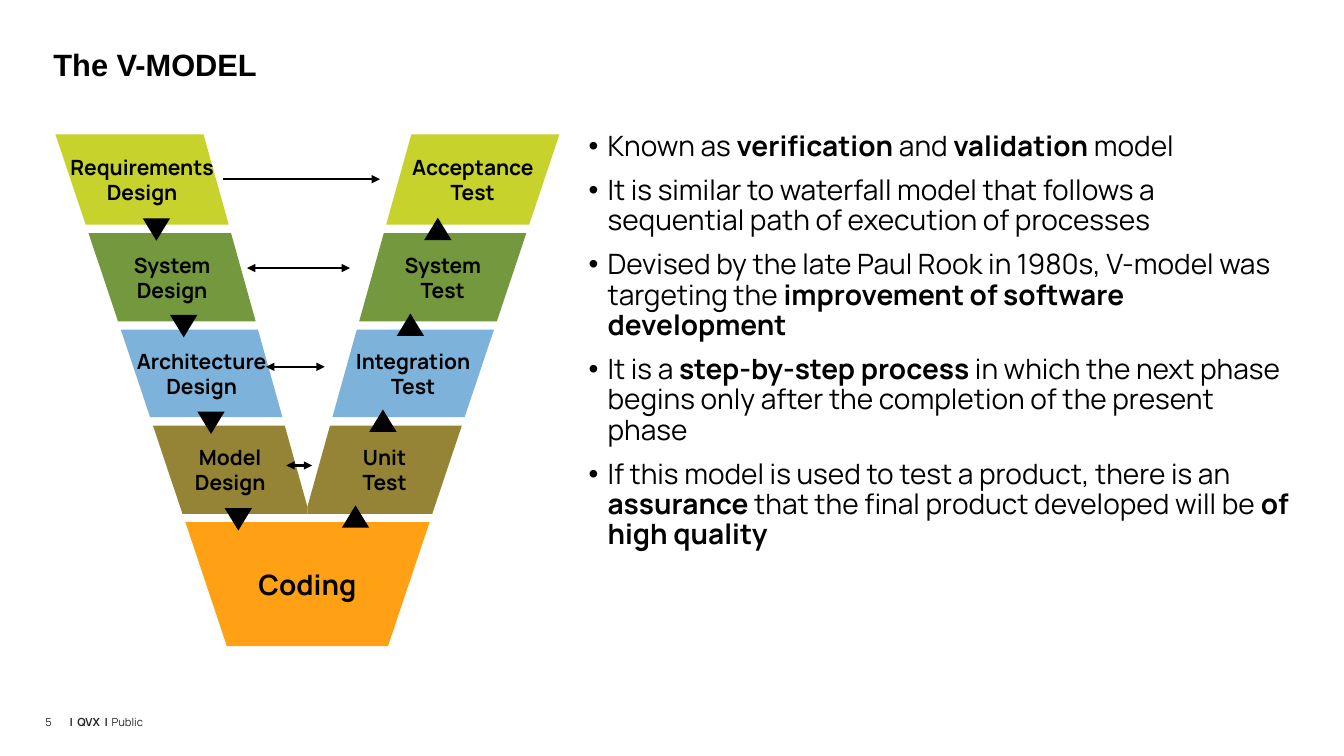
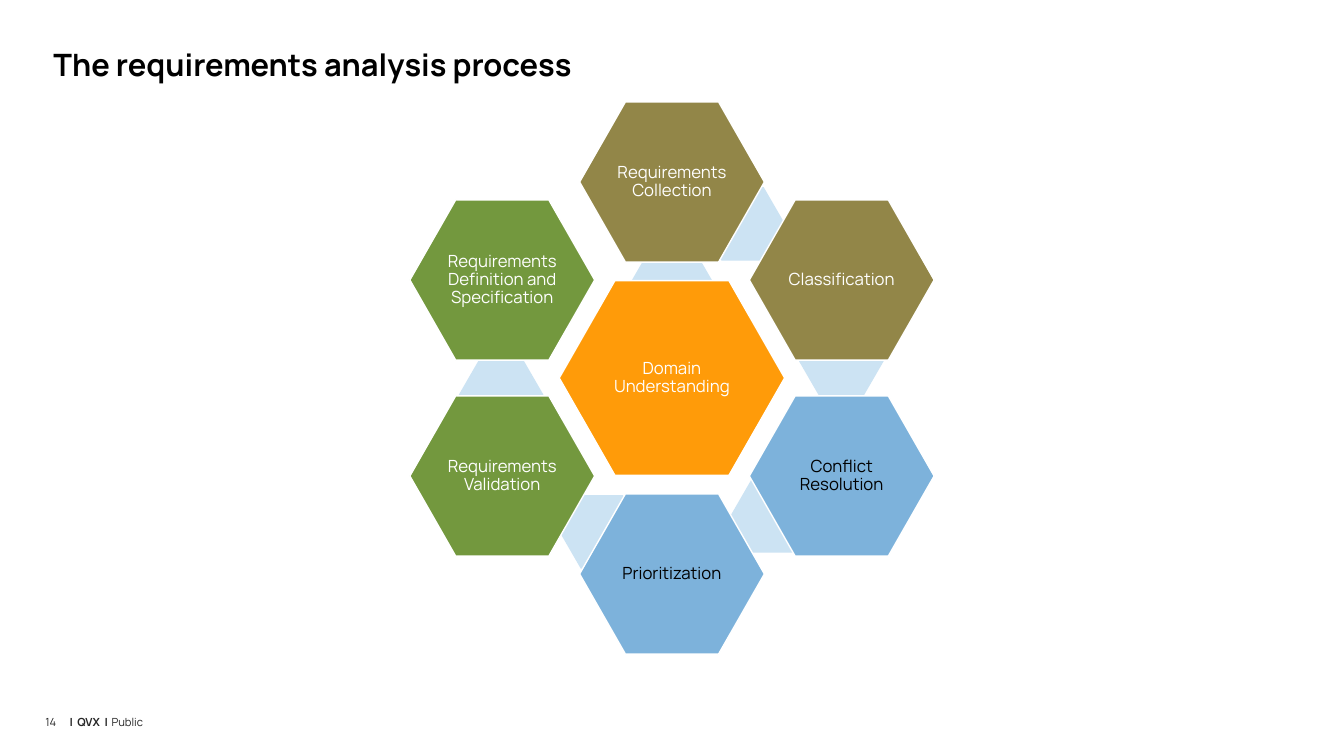
"""Build two slides: the V-model and the requirements analysis process."""
import math

import lxml.etree
import pptx
import pptx.dml.color
import pptx.enum.shapes
import pptx.enum.text
import pptx.oxml.ns
import pptx.util

Pt = pptx.util.Pt
SHAPES = pptx.enum.shapes.MSO_SHAPE
ALIGN = pptx.enum.text.PP_ALIGN
ANCHOR = pptx.enum.text.MSO_ANCHOR

COLORS = {
    "black": "000000", "white": "FFFFFF", "footer": "262626",
    "lime": "C7D22D", "green": "73983E", "blue": "7DB2DB",
    "olive": "958436", "amber": "FFA015",
    "khaki": "928648", "orange": "FF9B09", "pale": "CCE3F3",
}
FONT = "Manrope"
BRAND = "QVX"
FOOTER_TABS = (5.5, 25, 30)

V_CENTER = 219.6
V_TOP = 96
V_TIERS = [
    (96, 160.5, "lime", "Requirements\nDesign", "Acceptance\nTest"),
    (166.5, 229.5, "green", "System\nDesign", "System\nTest"),
    (235.5, 298, "blue", "Architecture\nDesign", "Integration\nTest"),
    (304, 367, "olive", "Model\nDesign", "Unit\nTest"),
]
CODING = (373, 461.5)
V_LINKS = [(159, 271.5, 128, False), (176.5, 250, 191.5, True),
           (190, 232, 262, True), (204.5, 223, 332.5, True)]
V_POINTS = [
    "Known as *verification* and *validation* model",
    "It is similar to waterfall model that follows a sequential path of execution of processes",
    "Devised by the late Paul Rook in 1980s, V-model was targeting the "
    "*improvement of software development*",
    "It is a *step-by-step process *in which the next phase begins only after "
    "the completion of the present phase",
    "If this model is used to test a product, there is an *assurance* that the "
    "final product developed will be *of high quality*",
]

HUB = (480, 270)
RING_RADIUS = 140
PHASES = [
    ("Requirements Collection", "khaki", "white"),
    ("Classification", "khaki", "white"),
    ("Conflict Resolution", "blue", "black"),
    ("Prioritization", "blue", "black"),
    ("Requirements Validation", "green", "white"),
    ("Requirements Definition and Specification", "green", "white"),
]
PHASE_LINKS = [(530.5, 160), (601, 258), (552, 368.5), (430, 380), (358, 282)]


def rgb(name):
    """Return the named colour."""
    return pptx.dml.color.RGBColor.from_string(COLORS[name])


def add_element(parent, tag, **attributes):
    """Append a DrawingML element to a parent."""
    return lxml.etree.SubElement(parent, pptx.oxml.ns.qn(tag), attributes)


def place(shape, left, top, width, height):
    """Move and size a shape."""
    shape.left, shape.top = Pt(left), Pt(top)
    shape.width, shape.height = Pt(width), Pt(height)


def paint(shape, fill, outline=None):
    """Give a shape a flat fill and an optional thin outline."""
    shape.shadow.inherit = False
    shape.fill.solid()
    shape.fill.fore_color.rgb = rgb(fill)
    if outline:
        shape.line.color.rgb = rgb(outline)
        shape.line.width = Pt(1)
    else:
        shape.line.fill.background()


def style_span(span, size, color="black", bold=False, font=FONT):
    """Set the font of one run."""
    span.font.name = font
    span.font.size = Pt(size)
    span.font.bold = bold
    span.font.color.rgb = rgb(color)


def write_spans(para, marked, size, color="black"):
    """Fill a paragraph, setting the parts between asterisks in bold."""
    for index, part in enumerate(marked.split("*")):
        if part:
            span = para.add_run()
            span.text = part
            style_span(span, size, color, index % 2 == 1)


def write_label(shape, text, size, color="black", bold=False, spacing=1.0, margin=None):
    """Write centred text inside a shape."""
    frame = shape.text_frame
    frame.word_wrap = True
    frame.vertical_anchor = ANCHOR.MIDDLE
    if margin is not None:
        frame.margin_left = frame.margin_right = Pt(margin)
        frame.margin_top = frame.margin_bottom = Pt(margin)
    frame.text = text
    for para in frame.paragraphs:
        para.alignment = ALIGN.CENTER
        para.line_spacing = spacing
        for span in para.runs:
            style_span(span, size, color, bold)


def add_footer_box(page, marked, left, width, tabs=()):
    """Add one piece of the footer line."""
    box = page.shapes.add_textbox(Pt(left), Pt(504), Pt(width), Pt(13.7))
    frame = box.text_frame
    frame.word_wrap = True
    frame.margin_left = frame.margin_right = frame.margin_top = frame.margin_bottom = 0
    para = frame.paragraphs[0]
    para.line_spacing = Pt(16.8)
    if tabs:
        stops = add_element(para._p.get_or_add_pPr(), "a:tabLst")
        for stop in tabs:
            add_element(stops, "a:tab", pos=str(Pt(stop)), algn="l")
    write_spans(para, marked, 8, "footer")


def add_page(deck, layout, title, number, title_font=FONT):
    """Add a slide with the shared title style and footer."""
    page = deck.slides.add_slide(deck.slide_layouts[layout])
    heading = page.shapes.title
    place(heading, 31, 32.4, 900, 51.8)
    frame = heading.text_frame
    frame.auto_size = pptx.enum.text.MSO_AUTO_SIZE.NONE
    frame.vertical_anchor = ANCHOR.TOP
    frame.text = title
    para = frame.paragraphs[0]
    para.alignment = ALIGN.LEFT
    para.line_spacing = 0.9
    style_span(para.runs[0], 22, bold=True, font=title_font)
    add_footer_box(page, f"*|\t{BRAND}\t|\t*Public", 49.7, 320, FOOTER_TABS)
    add_footer_box(page, str(number), 32.4, 13)
    return page


def fill_bullets(body, points):
    """Write a bulleted list into the body placeholder."""
    place(body, 413.3, 90.7, 517.7, 367)
    frame = body.text_frame
    frame.auto_size = pptx.enum.text.MSO_AUTO_SIZE.NONE
    for index, point in enumerate(points):
        para = frame.add_paragraph() if index else frame.paragraphs[0]
        para.line_spacing = 0.9
        para.space_before = Pt(10 if index else 0)
        properties = para._p.get_or_add_pPr()
        properties.set("marL", str(Pt(13.5)))
        properties.set("indent", str(-Pt(13.5)))
        add_element(properties, "a:buChar", char="•")
        write_spans(para, point, 20)


def outer_x(y):
    """Return the left outer edge of the V at a height."""
    return 39.6 + (y - V_TOP) * 0.335


def inner_x(y):
    """Return the left inner edge of the V at a height."""
    return min(145.4 + (y - V_TOP) * 0.279, V_CENTER)


def mirror(points):
    """Reflect points across the axis of the V."""
    return [(2 * V_CENTER - x, y) for x, y in points]


def tier_outline(top, bottom):
    """Return the outline of a left tier, cut off at the axis."""
    meeting = V_TOP + (V_CENTER - 145.4) / 0.279
    points = [(outer_x(top), top), (outer_x(bottom), bottom), (inner_x(bottom), bottom)]
    if bottom > meeting:
        points.append((V_CENTER, meeting))
    return points + [(inner_x(top), top)]


def add_tile(page, points, color, text, size):
    """Add a labelled polygon."""
    corners = [(Pt(x), Pt(y)) for x, y in points]
    builder = page.shapes.build_freeform(*corners[0], scale=1.0)
    builder.add_line_segments(corners[1:], close=True)
    tile = builder.convert_to_shape()
    paint(tile, color)
    write_label(tile, text, size, bold=True)


def add_arrow(page, start, end, y, both_ends):
    """Add a horizontal arrow."""
    arrow = page.shapes.add_connector(
        pptx.enum.shapes.MSO_CONNECTOR.STRAIGHT, Pt(start), Pt(y), Pt(end), Pt(y))
    arrow.line.color.rgb = rgb("black")
    arrow.line.width = Pt(1.5)
    stroke = arrow.line._get_or_add_ln()
    if both_ends:
        add_element(stroke, "a:headEnd", type="triangle")
    add_element(stroke, "a:tailEnd", type="triangle")
    add_element(arrow._element.spPr, "a:effectLst")


def add_pointer(page, kind, left, top):
    """Add a solid triangular step marker."""
    pointer = page.shapes.add_shape(kind, Pt(left), Pt(top), Pt(19.5), Pt(16))
    pointer.adjustments[0] = pointer.adjustments[1] = 1
    paint(pointer, "black")


def add_hexagon(page, center, width, height, color, adjust=0.289, outline=None):
    """Add a hexagon around a centre point."""
    x, y = center
    hexagon = page.shapes.add_shape(
        SHAPES.HEXAGON, Pt(x - width / 2), Pt(y - height / 2), Pt(width), Pt(height))
    hexagon.adjustments[0] = adjust
    hexagon.adjustments[1] = 1.155
    paint(hexagon, color, outline)
    return hexagon


def add_phase(page, center, width, height, text, color, ink):
    """Add a labelled hexagon."""
    hexagon = add_hexagon(page, center, width, height, color, 0.286, "white")
    write_label(hexagon, text, 12, ink, spacing=0.9, margin=1.4)


def build_v_model(deck):
    """Build the V-model slide."""
    page = add_page(deck, 1, "The V-MODEL", 5, "Arial")
    fill_bullets(page.placeholders[1], V_POINTS)
    side = [(outer_x(y), y) for y in CODING]
    add_tile(page, side + mirror(side)[::-1], "amber", "Coding", 20)
    for top, bottom, color, design, test in V_TIERS:
        outline = tier_outline(top, bottom)
        add_tile(page, outline, color, design, 15)
        add_tile(page, mirror(outline), color, test, 15)
    for link in V_LINKS:
        add_arrow(page, *link)
    for step in range(len(V_TIERS)):
        add_pointer(page, SHAPES.DOWN_ARROW, 102 + 19.5 * step, 156 + 69 * step)
        add_pointer(page, SHAPES.UP_ARROW, 303 - 19.6 * step, 155.5 + 68.5 * step)


def build_analysis(deck):
    """Build the requirements analysis slide."""
    page = add_page(deck, 5, "The requirements analysis process", 14)
    add_hexagon(page, (480, 207.7), 66, 57, "pale")
    add_phase(page, HUB, 161, 139, "Domain Understanding", "orange", "white")
    for center in PHASE_LINKS:
        add_hexagon(page, center, 60.5, 52.5, "pale")
    for index, phase in enumerate(PHASES):
        angle = math.radians(60 * index)
        center = (HUB[0] + RING_RADIUS * math.sin(angle),
                  HUB[1] - RING_RADIUS * math.cos(angle))
        add_phase(page, center, 132, 114.5, *phase)


def main():
    """Build and save the deck."""
    deck = pptx.Presentation()
    deck.slide_width, deck.slide_height = Pt(960), Pt(540)
    build_v_model(deck)
    build_analysis(deck)
    deck.save("out.pptx")


if __name__ == "__main__":
    main()
